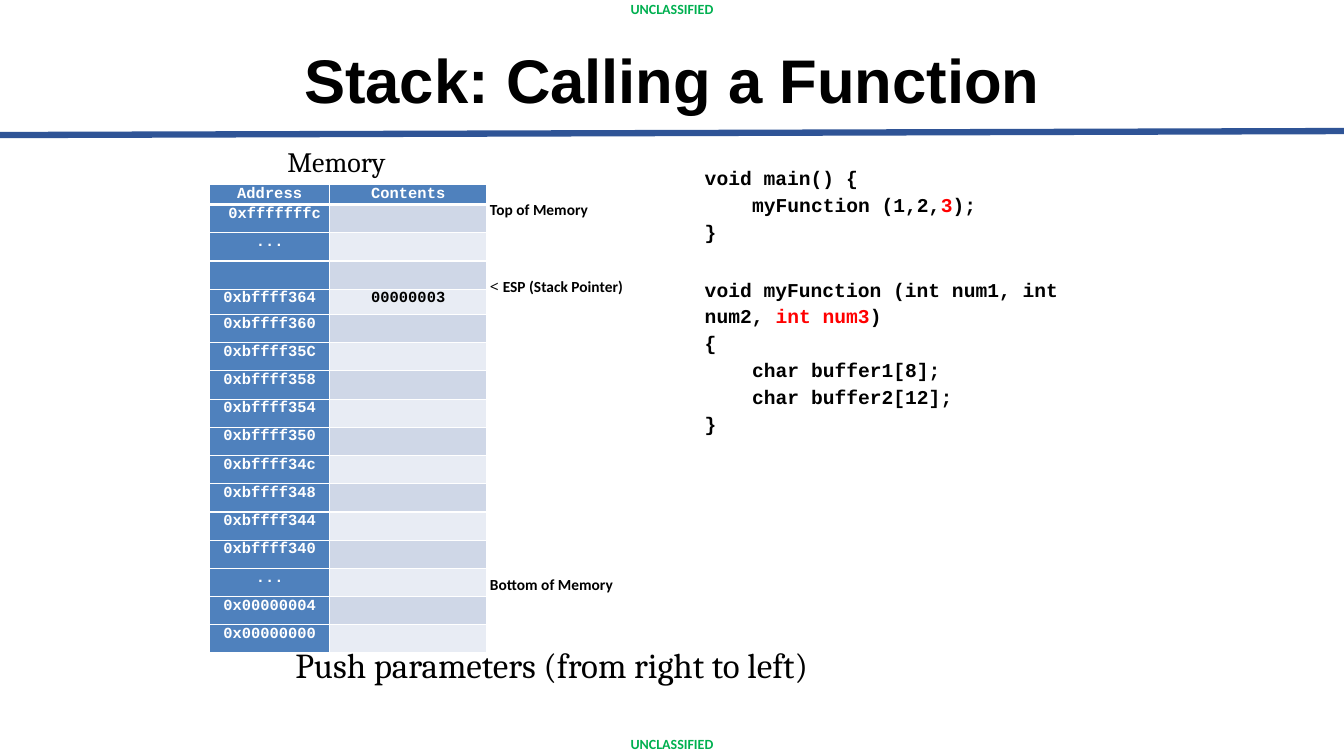
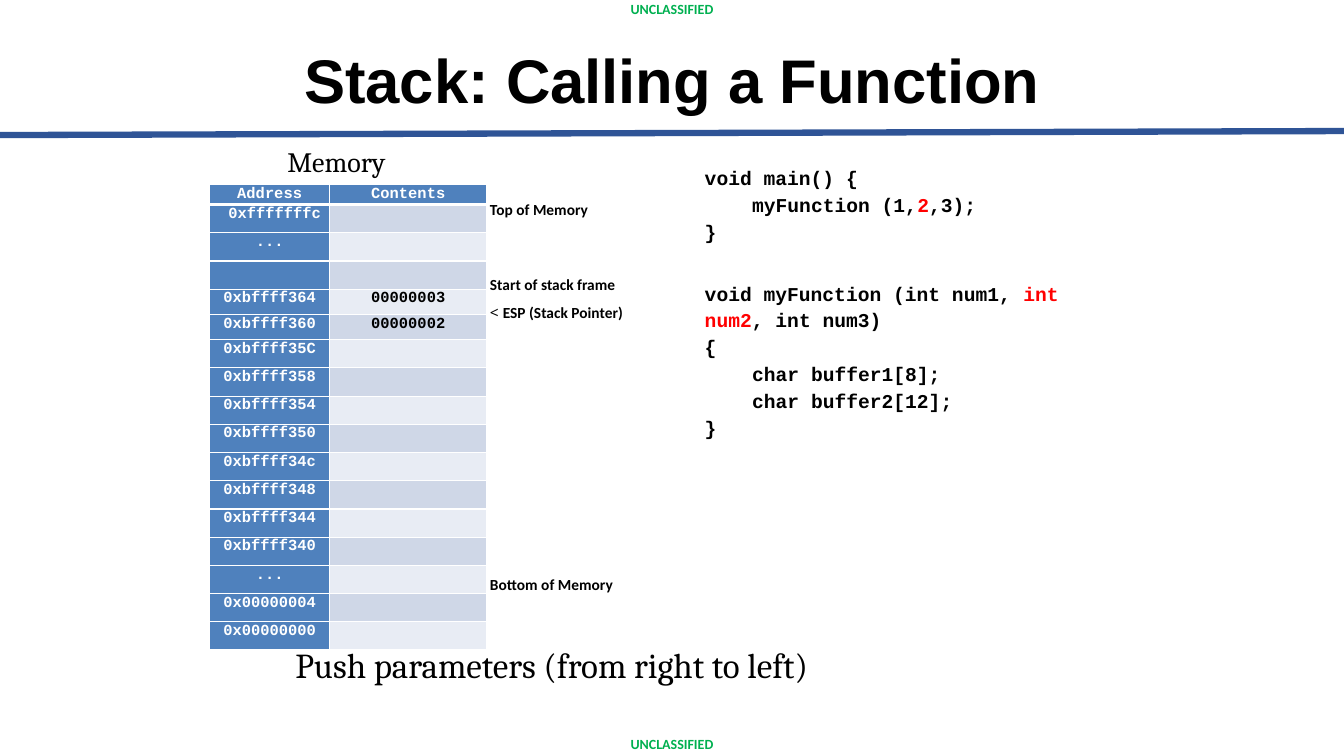
from lxml import etree
from pptx import Presentation
from pptx.dml.color import RGBColor
from pptx.enum.shapes import MSO_CONNECTOR
from pptx.enum.text import MSO_ANCHOR as Anchor, PP_ALIGN as Align
from pptx.oxml.ns import qn
from pptx.util import Inches, Pt

# Shared look
BLACK, WHITE, RED, GREEN = "000000", "FFFFFF", "FF0000", "00B050"
RULE, HEAD, BANDS = "2F5496", "4F81BD", ("CFD7E7", "E8ECF4")

TITLE = {"name": "Arial", "size": Pt(44), "bold": True, "color": BLACK}
MARKING = {"name": "Calibri", "size": Pt(10), "bold": True, "color": GREEN}
LABEL = {"name": "Calibri", "size": Pt(11), "bold": True, "color": BLACK}
POINTER = {**LABEL, "name": "Noto Sans", "bold": False}
CAPTION = {"name": "Cambria", "size": Pt(20), "bold": False, "color": BLACK}
STEP = {**CAPTION, "size": Pt(25)}
CODE = {"name": "Courier New", "size": Pt(14), "bold": True, "color": BLACK}
ACTIVE = {**CODE, "color": RED}
CELL = {**CODE, "size": Pt(11)}
CELL_HEAD = {**CELL, "color": WHITE}

CENTERED = {"alignment": Align.CENTER, "line_spacing": 0.9}
CELL_LINE = {"alignment": Align.CENTER, "line_spacing": 1.04}
MAIN_LINE = {"space_before": Pt(2.5)}
FUNCTION_LINE = {"line_spacing": 1.14}

# Content
ADDRESSES = ["0xfffffffc", "...", "", "0xbffff364", "0xbffff360", "0xbffff35C",
             "0xbffff358", "0xbffff354", "0xbffff350", "0xbffff34c",
             "0xbffff348", "0xbffff344", "0xbffff340", "...",
             "0x00000004", "0x00000000"]
ESP = [("< ", POINTER), ("ESP (Stack Pointer)", LABEL)]
BODY = [(0, ["{"]), (1, ["char buffer1[8];"]), (1, ["char buffer2[12];"]), (0, ["}"])]

# Code pieces alternate between plain and active text
SLIDES = [
    {"contents": {"0xbffff364": "00000003"},
     "stack_labels": (2.74, 0.01, [ESP]),
     "call": ["myFunction (1,2,", "3", ");"],
     "signature": ["void myFunction (int num1, int num2, ", "int num3", ")"],
     "function_top": 2.69},
    {"contents": {"0xbffff364": "00000003", "0xbffff360": "00000002"},
     "stack_labels": (2.63, 0.1, [[("Start of stack frame", LABEL)], ESP]),
     "call": ["myFunction (1,", "2", ",3);"],
     "signature": ["void myFunction (int num1, ", "int num2", ", int num3)"],
     "function_top": 2.73},
]

# Memory table geometry
COLUMNS = (1.19, 1.56)
HEADER_H, ROW_H, FILLED_H = 0.2, 0.28, 0.25


def rgb(color):
    return RGBColor.from_string(color)


def box(*lengths):
    return [Inches(length) for length in lengths]


def apply(target, values):
    for name, value in values.items():
        setattr(target, name, value)


def write(paragraph, runs, layout, indent=0):
    apply(paragraph, layout)
    if indent:
        paragraph._p.get_or_add_pPr().set("marL", str(Inches(indent)))
    for text, style in runs:
        run = paragraph.add_run()
        run.text = text
        apply(run.font, {k: v for k, v in style.items() if k != "color"})
        run.font.color.rgb = rgb(style["color"])


def add_text(slide, at, lines, layout=None, top=0.01, anchor=Anchor.TOP):
    """Each line is (indent, runs)."""
    frame = slide.shapes.add_textbox(*box(*at)).text_frame
    apply(frame, {"word_wrap": True, "vertical_anchor": anchor,
                  "margin_left": 0, "margin_right": 0,
                  "margin_top": Inches(top), "margin_bottom": 0})
    for i, (indent, runs) in enumerate(lines):
        paragraph = frame.add_paragraph() if i else frame.paragraphs[0]
        write(paragraph, runs, layout or {}, indent)


def code_lines(lines):
    return [(0.47 * level, [(piece, (CODE, ACTIVE)[i % 2]) for i, piece in enumerate(pieces)])
            for level, pieces in lines]


def add_frame(slide):
    # Rule under the title
    rule = slide.shapes.add_connector(MSO_CONNECTOR.STRAIGHT, *box(0, 1.34, 13.33, 1.3))
    rule.line.color.rgb = rgb(RULE)
    rule.line.width = Pt(4.5)
    etree.SubElement(rule._element.spPr, qn("a:effectLst"))
    # Markings and title
    for at, text, style in [((0, 0.03, 13.33, 0.13), "UNCLASSIFIED", MARKING),
                            ((0, 7.33, 13.33, 0.13), "UNCLASSIFIED", MARKING),
                            ((0.92, 0.34, 11.5, 0.97), "Stack: Calling a Function", TITLE)]:
        add_text(slide, at, [(0, [(text, style)])], CENTERED, 0, Anchor.MIDDLE)


def add_border(cell, side, points):
    line = etree.SubElement(cell._tc.get_or_add_tcPr(), qn("a:" + side), w=str(Pt(points)))
    fill = etree.SubElement(line, qn("a:solidFill"))
    etree.SubElement(fill, qn("a:srgbClr"), val=WHITE)


def fill_cell(cell, text, style, color, row):
    apply(cell, {"margin_left": 0, "margin_right": 0, "margin_top": 0, "margin_bottom": 0})
    paragraph = cell.text_frame.paragraphs[0]
    write(paragraph, [(text, style)] if text else [], CELL_LINE)
    if not text:
        etree.SubElement(paragraph._p, qn("a:endParaRPr"), sz="1100")
    borders = {"lnL": 1, "lnR": 1, "lnT": 3 if row == 1 else 1, "lnB": 3 if row == 0 else 1}
    for side, points in borders.items():
        add_border(cell, side, points)
    cell.fill.solid()
    cell.fill.fore_color.rgb = rgb(color)


def add_memory(slide, contents):
    rows = [("Address", "Contents")] + [(a, contents.get(a, "")) for a in ADDRESSES]
    heights = [HEADER_H] + [FILLED_H if value else ROW_H for _, value in rows[1:]]
    table = slide.shapes.add_table(len(rows), len(COLUMNS), *box(
        2.08, 1.83, sum(COLUMNS), sum(heights))).table
    apply(table, {"first_row": False, "horz_banding": False})
    for column, width in zip(table.columns, COLUMNS):
        column.width = Inches(width)
    for r, (address, value) in enumerate(rows):
        table.rows[r].height = Inches(heights[r])
        fill_cell(table.cell(r, 0), address, CELL_HEAD, HEAD, r)
        fill_cell(table.cell(r, 1), value, CELL if r else CELL_HEAD,
                  BANDS[(r - 1) % 2] if r else HEAD, r)
    # The top address sits slightly to the right
    table.cell(1, 0).margin_left = Inches(0.1)


def build(slide, content):
    add_frame(slide)
    add_memory(slide, content["contents"])
    # Labels around the table
    for at, text, style in [((4.86, 1.98, 1.3, 0.2), "Top of Memory", LABEL),
                            ((4.86, 5.7, 1.4, 0.2), "Bottom of Memory", LABEL),
                            ((2.93, 6.37, 5.8, 0.43), "Push parameters (from right to left)", STEP),
                            ((2.85, 1.42, 1.2, 0.35), "Memory", CAPTION)]:
        add_text(slide, at, [(0, [(text, style)])])
    top, inset, labels = content["stack_labels"]
    add_text(slide, (4.86, top, 1.5, 0.2 * len(labels) + inset),
             [(0, runs) for runs in labels], {"space_before": Pt(6.5)} if len(labels) > 1 else {}, inset)
    # Code
    main_code = [(0, ["void main() {"]), (1, content["call"]), (0, ["}"])]
    add_text(slide, (6.99, 1.6, 3, 0.83), code_lines(main_code), MAIN_LINE, 0.05)
    function_code = [(0, content["signature"])] + BODY
    add_text(slide, (6.99, content["function_top"], 3.9, 1.65),
             code_lines(function_code), FUNCTION_LINE, 0.03)


def main():
    deck = Presentation()
    deck.slide_width, deck.slide_height = box(13.33, 7.5)
    for content in SLIDES:
        build(deck.slides.add_slide(deck.slide_layouts[6]), content)
    deck.save("out.pptx")


if __name__ == "__main__":
    main()
